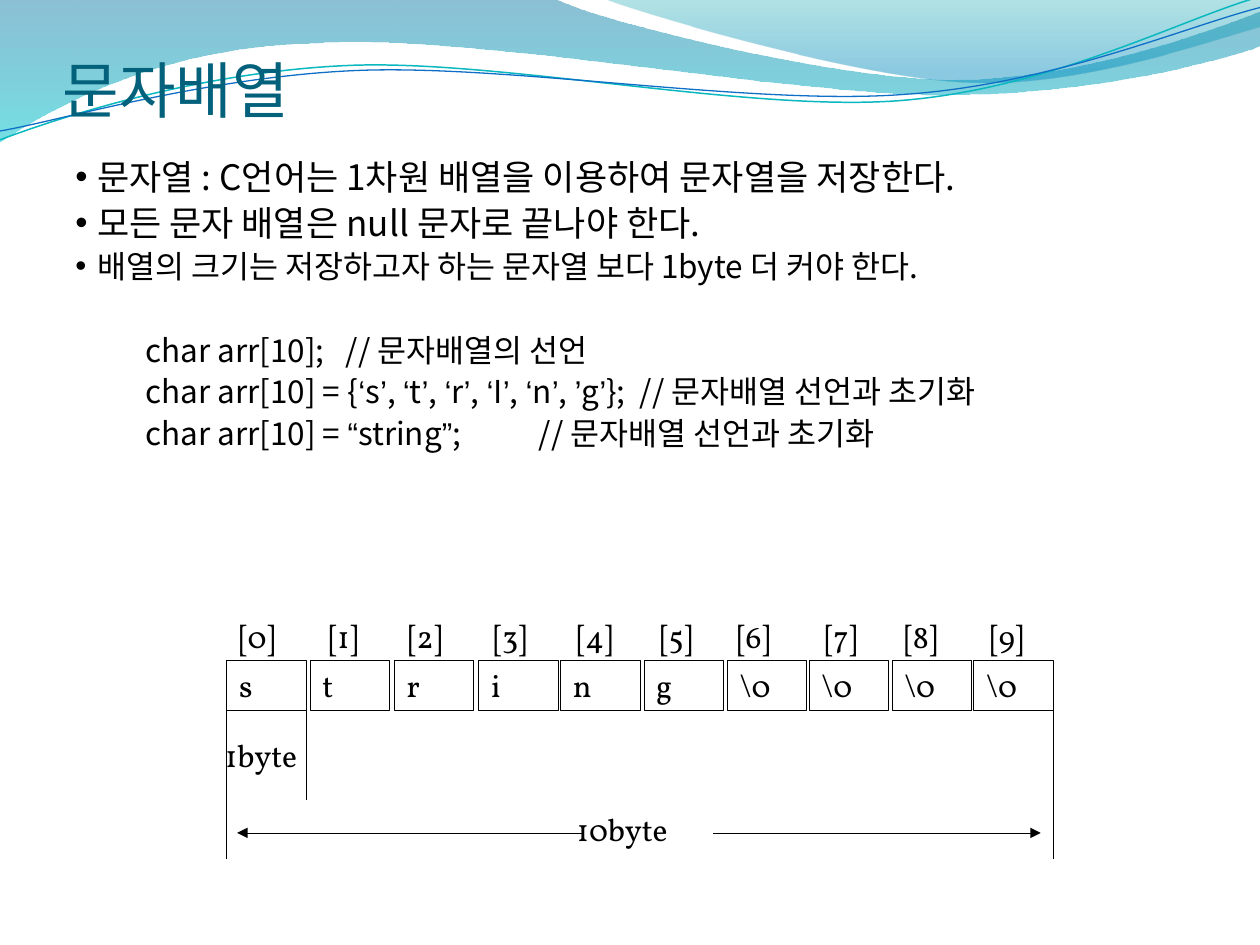
from itertools import groupby

from pptx import Presentation
from pptx.dml.color import RGBColor
from pptx.enum.shapes import MSO_CONNECTOR, MSO_SHAPE
from pptx.enum.text import MSO_ANCHOR, PP_ALIGN
from pptx.oxml.ns import qn
from pptx.util import Cm, Pt
from lxml import etree

STRAIGHT, RECT = MSO_CONNECTOR.STRAIGHT, MSO_SHAPE.RECTANGLE
MIDDLE, BOTTOM = MSO_ANCHOR.MIDDLE, MSO_ANCHOR.BOTTOM
LEFT, JUSTIFY = PP_ALIGN.LEFT, PP_ALIGN.JUSTIFY
BLACK = RGBColor(0x00, 0x00, 0x00)
TITLE = RGBColor(0x04, 0x61, 0x7B)
BLUE = RGBColor(0x00, 0x74, 0xA1)
CYAN = RGBColor(0x00, 0xC6, 0xCF)
TEAL = RGBColor(0x00, 0xA1, 0xA9)
SKY = RGBColor(0x00, 0x8B, 0xBF)
LINE_TEAL = RGBColor(0x0A, 0xB8, 0xBF)
LINE_BLUE = RGBColor(0x0F, 0x6F, 0xC6)
KOREAN, QUOTE, SERIF = "Noto Sans CJK KR", "Arial", "Vollkorn"
UNIT = Cm(0.0254)

prs = Presentation()
prs.slide_width, prs.slide_height = Cm(25.4), Cm(19.05)
s = prs.slides.add_slide(prs.slide_layouts[6])


def add_run(p, text, name, size, color=BLACK):
    r = p.add_run()
    r.text = text
    for key, value in {"name": name, "size": Pt(size)}.items():
        setattr(r.font, key, value)
    r.font.color.rgb = color


def set_indent(p, margin, indent):
    pPr = p._p.get_or_add_pPr()
    pPr.set("marL", str(Cm(margin)))
    pPr.set("indent", str(Cm(indent)))
    return pPr


waves = [
    ([(0, 0), (440, -1), (476, 17, 664, 63, 758, 63), (853, 63, 958, 26, 1000, 9),
      (1001, 36), (983, 44, 870, 76, 746, 75), (622, 75, 382, 28, 257, 34),
      (129, 36, 46, 83, -1, 113)], [(0, BLUE, 45), (1, CYAN, 55)], None),
    ([(479, -1), (509, 11, 682, 62, 769, 65), (856, 69, 961, 32, 1000, 21),
      (1000, 0)], [(0, TEAL, 30), (0.8, SKY, 45)], None),
    ([(0, 111), (48, 93, 158, 57, 277, 52), (395, 47, 593, 89, 713, 80),
      (833, 71, 938, 15, 998, -2)], None, (LINE_TEAL, 0.85)),
    ([(0, 104), (47, 96, 164, 61, 283, 56), (403, 51, 597, 84, 717, 75),
      (836, 67, 941, 21, 1000, 6)], None, (LINE_BLUE, 0.75)),
]
for (start, *segments), stops, line in waves:
    points = [pt for seg in segments for pt in zip(seg[::2], seg[1::2])]
    fb = s.shapes.build_freeform(*start, scale=UNIT)
    fb.add_line_segments(points, close=stops is not None)
    sp = fb.convert_to_shape()
    sp.shadow.inherit = False
    corners = iter(list(sp._element.spPr.iter(qn("a:lnTo"))))
    for seg in segments:
        corner = next(corners)
        if len(seg) == 6:
            curve = etree.Element(qn("a:cubicBezTo"))
            corner.addprevious(curve)
            for node in (corner, next(corners), next(corners)):
                curve.append(node[0])
                node.getparent().remove(node)
    if stops:
        sp.fill.gradient()
        sp.fill.gradient_angle = 270
        for stop, (position, color, _) in zip(sp.fill.gradient_stops, stops):
            stop.position = position
            stop.color.rgb = color
        for clr, (_, _, opacity) in zip(sp._element.spPr.iter(qn("a:srgbClr")), stops):
            etree.SubElement(clr, qn("a:alpha")).set("val", str(opacity * 1000))
        sp.line.fill.background()
    else:
        sp.fill.background()
        sp.line.color.rgb, sp.line.width = line[0], Pt(line[1])

tf = s.shapes.add_textbox(Cm(1.27), Cm(0.97), Cm(22.86), Cm(1.57)).text_frame
for key, value in {"word_wrap": True, "vertical_anchor": BOTTOM, "margin_left": 0,
                   "margin_right": 0, "margin_bottom": 0}.items():
    setattr(tf, key, value)
add_run(tf.paragraphs[0], "문자배열", KOREAN, 35.1, TITLE)

body = [
    ("문자열 : C언어는 1차원 배열을 이용하여 문자열을 저장한다.", 20),
    ("모든 문자 배열은 null 문자로 끝나야 한다.", 20),
    ("배열의 크기는 저장하고자 하는 문자열 보다 1byte 더 커야 한다.", 18),
    (" char arr[10];   // 문자배열의 선언", 18),
    (" char arr[10] = {‘s’, ‘t’, ‘r’, ‘I’, ‘n’, ’g’};  // 문자배열 선언과 초기화", 18),
    (" char arr[10] = “string”;           // 문자배열 선언과 초기화", 18),
]
first_code = 3
tf = s.shapes.add_textbox(Cm(1.27), Cm(2.92), Cm(23.42), Cm(14.6)).text_frame
tf.word_wrap = True
for i, (text, size) in enumerate(body):
    p = tf.paragraphs[0] if i == 0 else tf.add_paragraph()
    if i < first_code:
        pPr = set_indent(p, 0.44, -0.44)
        etree.SubElement(pPr, qn("a:buFont")).set("typeface", QUOTE)
        etree.SubElement(pPr, qn("a:buChar")).set("char", "•")
    else:
        p.level = 1
        set_indent(p, 1.27, 0)
    p.alignment, p.line_spacing = JUSTIFY, 1.1
    if i == first_code:
        p.space_before = Pt(24)
    for quoted, chars in groupby(text, lambda ch: ch in "‘’“”"):
        add_run(p, "".join(chars), QUOTE if quoted else KOREAN, size)

letters = ["s", "t", "r", "i", "n", "g"] + ["\\0"] * 4
cell_lefts = [4.57, 6.25, 7.95, 9.65, 11.3, 12.98, 14.66, 16.31, 17.98, 19.63]
label_lefts = [4.57, 6.38, 7.98, 9.7, 11.38, 13.06, 14.61, 16.38, 17.98, 19.71]
first, last, width = cell_lefts[0], cell_lefts[-1], 1.6
for x, letter in zip(cell_lefts, letters):
    sp = s.shapes.add_shape(RECT, Cm(x), Cm(13.32), Cm(width), Cm(0.99))
    sp.shadow.inherit = False
    sp.fill.background()
    sp.line.color.rgb, sp.line.width = BLACK, Pt(0.25)
    tf = sp.text_frame
    tf.word_wrap, tf.vertical_anchor = False, MIDDLE
    p = tf.paragraphs[0]
    set_indent(p, 0.97, -0.97)
    p.alignment = LEFT
    add_run(p, letter, SERIF, 18)

labels = [("1byte", 4.29, 14.71, 2.21), ("10byte", 11.38, 16.21, 3.61)]
labels += [(f"[{i}]", x, 12.32, 1.4) for i, x in enumerate(label_lefts)]
for text, x, y, w in labels:
    tf = s.shapes.add_textbox(Cm(x), Cm(y), Cm(w), Cm(1.02)).text_frame
    tf.word_wrap = True
    p = tf.paragraphs[0]
    set_indent(p, 0.97, -0.97)
    add_run(p, text, SERIF, 18)

right = last + width
lines = [
    (first, 14.32, first, 17.32, False),
    (first + width, 14.32, first + width, 16.13, False),
    (right, 14.32, right, 17.32, False),
    (11.76, 16.79, 4.78, 16.79, True),
    (14.38, 16.79, 20.98, 16.79, True),
]
for x1, y1, x2, y2, arrow in lines:
    c = s.shapes.add_connector(STRAIGHT, Cm(x1), Cm(y1), Cm(x2), Cm(y2))
    c.line.color.rgb, c.line.width = BLACK, Pt(0.25)
    spPr = c._element.spPr
    if arrow:
        etree.SubElement(spPr.find(qn("a:ln")), qn("a:tailEnd")).set("type", "triangle")
    etree.SubElement(spPr, qn("a:effectLst"))

prs.save("out.pptx")
